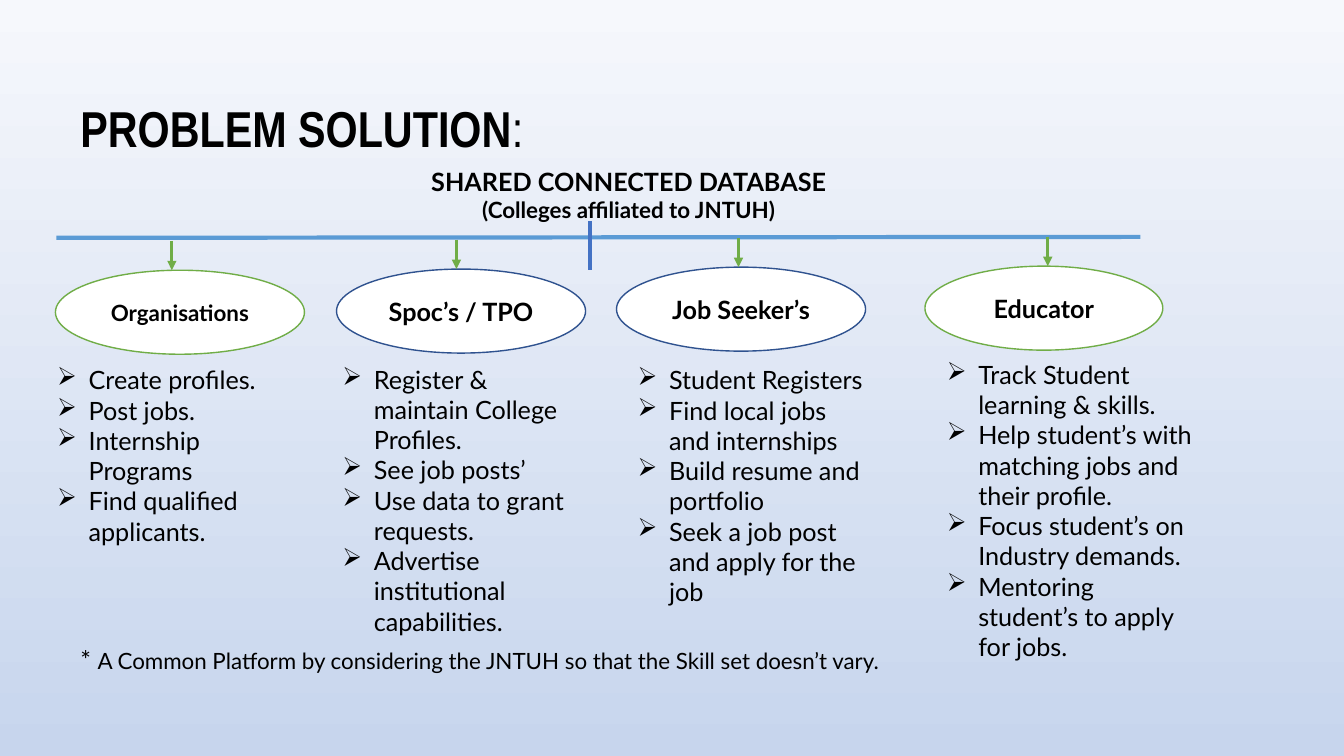
from dataclasses import dataclass

from lxml import etree
from pptx import Presentation, util as u
from pptx.dml import color
from pptx.enum import shapes, text
from pptx.oxml import ns

BLACK, WHITE = "000000", "FFFFFF"
GREEN, NAVY, SKY, BLUE = "70AD47", "2F528F", "5B9BD5", "4472C4"
ELLIPSE_HEIGHT = 60
ARROW_LENGTH = 21
BULLET_INDENT = 22.5


@dataclass
class Run:
    words: str
    size: float = 18
    bold: bool = False
    font: str = "Lato"


@dataclass
class Role:
    name: Run
    outline: str
    left: float
    top: float
    width: float
    arrow_x: float
    list_left: float
    list_top: float
    list_width: float
    list_height: float
    tasks: list[str]


ROLES = [
    Role(Run("Organisations", 16, True), GREEN, 39.6, 193, 178, 122.8,
         33.8, 257, 184.3, 137,
         ["Create profiles.", "Post jobs.", "Internship Programs",
          "Find qualified applicants."]),
    Role(Run("Spoc’s / TPO", 18, True), NAVY, 240.5, 192.2, 178, 326.2,
         237.6, 256.5, 178, 202,
         ["Register & maintain College Profiles.", "See job posts’",
          "Use data to grant requests.",
          "Advertise institutional capabilities."]),
    Role(Run("Job Seeker’s", 18, True), NAVY, 440.6, 190.8, 178, 527.8,
         448.6, 257, 178, 202,
         ["Student Registers", "Find local jobs and internships",
          "Build resume and portfolio",
          "Seek a job post and apply for the job"]),
    Role(Run("Educator", 18, True), GREEN, 661, 190.1, 170, 748.8,
         669.6, 253, 192.3, 223,
         ["Track Student learning & skills.",
          "Help student’s with matching jobs and their profile.",
          "Focus student’s on Industry demands.",
          "Mentoring student’s to apply for jobs."]),
]


def rgb(value: str) -> color.RGBColor:
    return color.RGBColor.from_string(value)


def apply(target, formats: dict) -> None:
    for attribute, value in formats.items():
        setattr(target, attribute, value)


def write(frame, paragraphs: list[list[Run]], centred: bool = False,
          bulleted: bool = False, anchor=text.MSO_ANCHOR.TOP) -> None:
    apply(frame, {"word_wrap": True, "vertical_anchor": anchor,
                  "margin_left": u.Pt(7.2), "margin_right": u.Pt(7.2),
                  "margin_top": u.Pt(3.6), "margin_bottom": u.Pt(3.6)})
    for index, runs in enumerate(paragraphs):
        paragraph = frame.add_paragraph() if index else frame.paragraphs[0]
        paragraph.alignment = text.PP_ALIGN.CENTER if centred else text.PP_ALIGN.LEFT
        if bulleted:
            add_bullet(paragraph)
        for run in runs:
            piece = paragraph.add_run()
            piece.text = run.words
            apply(piece.font, {"size": u.Pt(run.size), "bold": run.bold,
                               "name": run.font})
            piece.font.color.rgb = rgb(BLACK)


def add_bullet(paragraph) -> None:
    properties = paragraph._p.get_or_add_pPr()
    properties.set("marL", str(u.Pt(BULLET_INDENT)))
    properties.set("indent", str(-u.Pt(BULLET_INDENT)))
    bullet_color = etree.SubElement(properties, ns.qn("a:buClr"))
    etree.SubElement(bullet_color, ns.qn("a:srgbClr"), val=BLACK)
    etree.SubElement(properties, ns.qn("a:buChar"), char="➢")


def add_text(slide, left: float, top: float, width: float, height: float,
             paragraphs: list[list[Run]], centred: bool = False,
             bulleted: bool = False) -> None:
    box = slide.shapes.add_textbox(u.Pt(left), u.Pt(top), u.Pt(width), u.Pt(height))
    write(box.text_frame, paragraphs, centred, bulleted)


def add_line(slide, x1: float, y1: float, x2: float, y2: float,
             stroke: str, weight: float, arrow: bool = False) -> None:
    line = slide.shapes.add_connector(
        shapes.MSO_CONNECTOR.STRAIGHT, u.Pt(x1), u.Pt(y1), u.Pt(x2), u.Pt(y2))
    line.line.color.rgb = rgb(stroke)
    line.line.width = u.Pt(weight)
    if arrow:
        etree.SubElement(line.line._get_or_add_ln(), ns.qn("a:tailEnd"), type="triangle")
    etree.SubElement(line._element.spPr, ns.qn("a:effectLst"))


def add_role(slide, role: Role) -> None:
    ellipse = slide.shapes.add_shape(
        shapes.MSO_SHAPE.OVAL, u.Pt(role.left), u.Pt(role.top),
        u.Pt(role.width), u.Pt(ELLIPSE_HEIGHT))
    ellipse.shadow.inherit = False
    ellipse.fill.solid()
    ellipse.fill.fore_color.rgb = rgb(WHITE)
    ellipse.line.color.rgb = rgb(role.outline)
    ellipse.line.width = u.Pt(1)
    write(ellipse.text_frame, [[role.name]], centred=True,
          anchor=text.MSO_ANCHOR.MIDDLE)
    add_line(slide, role.arrow_x, role.top - ARROW_LENGTH, role.arrow_x, role.top,
             GREEN, 2.25, arrow=True)
    add_text(slide, role.list_left, role.list_top, role.list_width, role.list_height,
             [[Run(task)] for task in role.tasks], bulleted=True)


def main() -> None:
    deck = Presentation()
    apply(deck, {"slide_width": u.Pt(960.5), "slide_height": u.Pt(540)})
    slide = deck.slides.add_slide(deck.slide_layouts[6])

    # Background
    backdrop = slide.background.fill
    backdrop.gradient()
    backdrop.gradient_angle = 270
    for stop, shade in zip(backdrop.gradient_stops, ("F6F8FC", "C7D5ED")):
        stop.color.rgb = rgb(shade)

    # Title
    add_text(slide, 50.4, 65.5, 842.4, 45.4,
             [[Run("PROBLEM SOLUTION", 36, True, "Arial Narrow"),
               Run(":", 36, False, "Arial Narrow")]])

    # Shared database and the bar that links the roles
    add_line(slide, 40.3, 169.9, 815, 169.2, SKY, 3)
    for role in ROLES:
        add_role(slide, role)
    add_line(slide, 421.9, 157.7, 421.9, 193, BLUE, 3)
    add_text(slide, 272.2, 115.2, 354.2, 50.4,
             [[Run("SHARED CONNECTED DATABASE", 18, True)],
              [Run("(Colleges affiliated to JNTUH)", 16, True)]], centred=True)

    # Footnote
    add_text(slide, 50.4, 456.5, 704.2, 28.8,
             [[Run("* "),
               Run("A Common Platform by considering the JNTUH so that "
                   "the Skill set doesn’t vary.", 16)]])

    deck.save("out.pptx")


if __name__ == "__main__":
    main()
